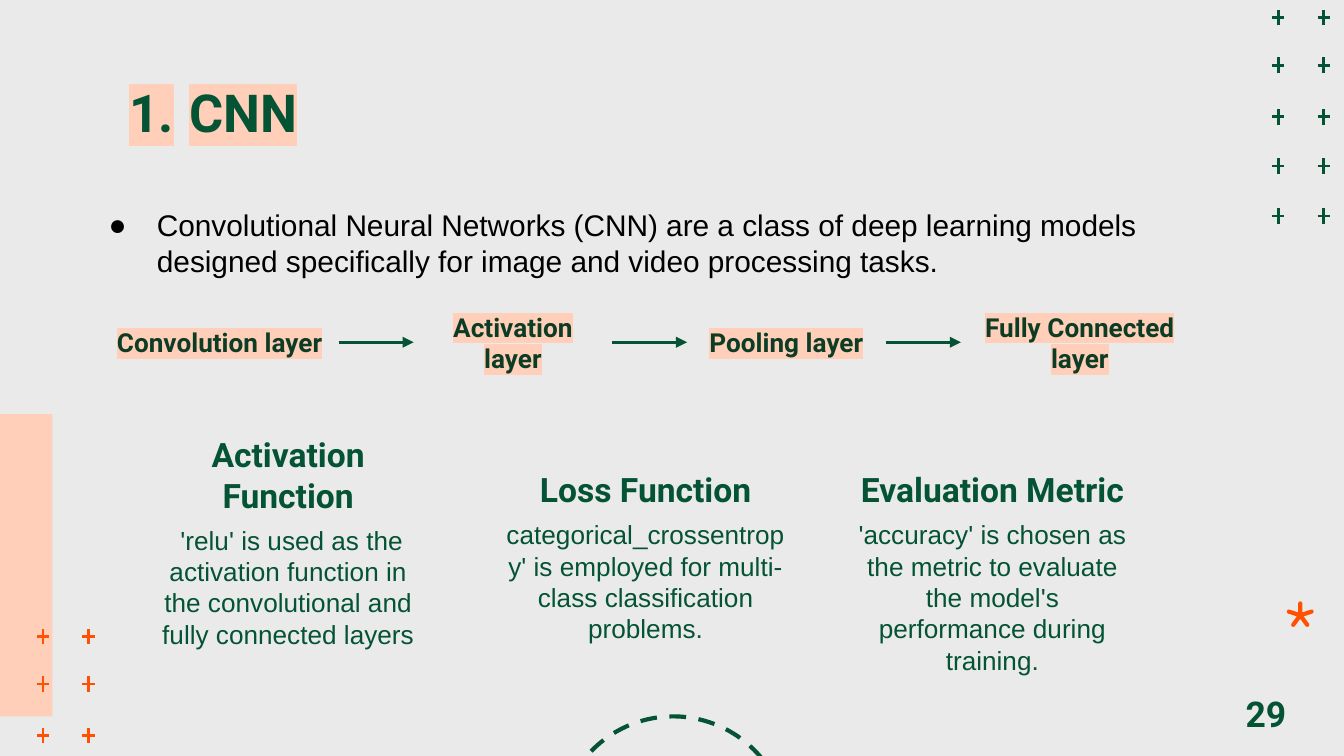
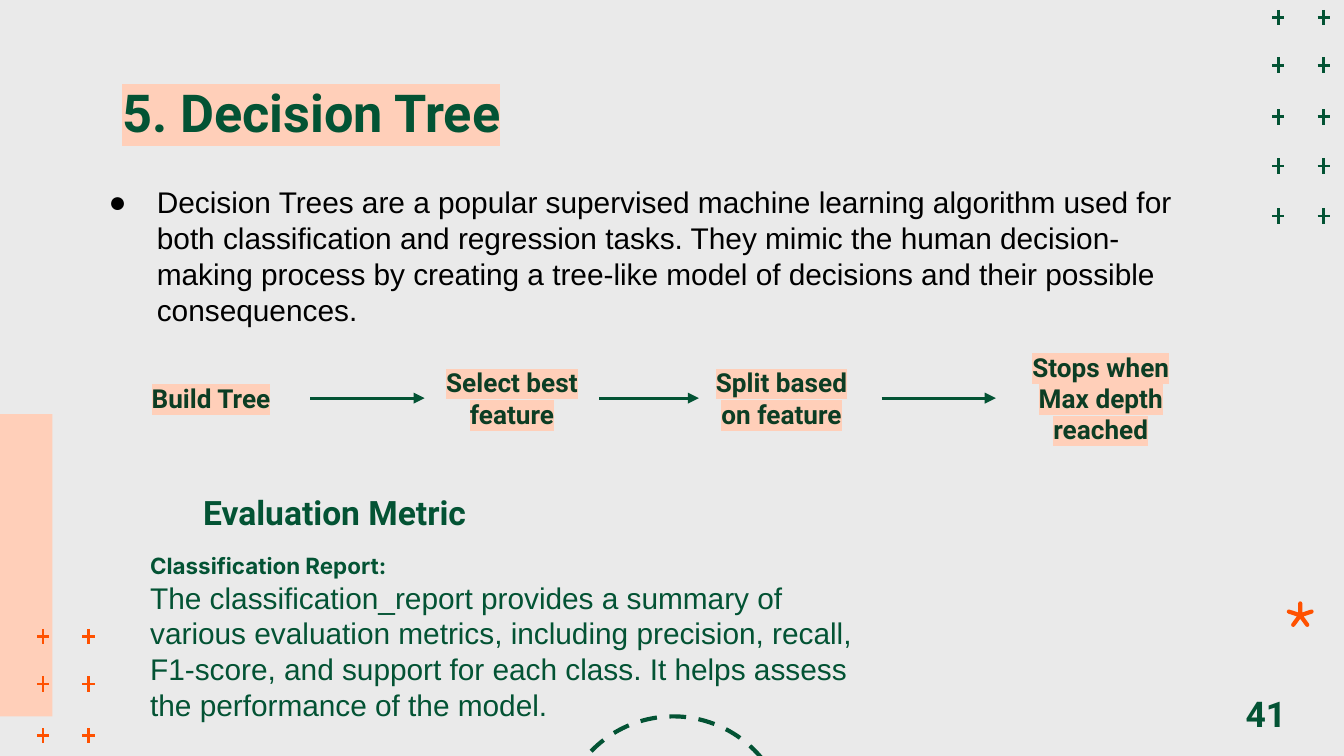
from dataclasses import dataclass

from lxml import etree
from pptx import Presentation
from pptx import util as u
from pptx.dml.color import RGBColor
from pptx.enum import dml, shapes, text
from pptx.oxml.ns import qn


@dataclass(frozen=True)
class Theme:
    background: str = "EAEAEA"
    peach: str = "FFCFB9"
    orange: str = "FF5100"
    green: str = "035334"
    dark_green: str = "0C3D24"
    black: str = "000000"
    heading_font: str = "Roboto"
    body_font: str = "Arial"
    label_font: str = "Inter"
    title_size: int = 28
    number_size: int = 19
    heading_size: int = 18
    intro_size: int = 16
    body_size: int = 14
    label_size: int = 12
    thin_line: float = 1.5
    thick_line: float = 2.25


theme = Theme()


def write_text(shape, words, size=theme.body_size, font=theme.body_font,
               color=theme.green, bold=False, highlight=None,
               align=text.PP_ALIGN.LEFT, anchor=text.MSO_ANCHOR.TOP,
               space_after=0, bullet=None, indent=0, grow=False):
    frame = shape.text_frame
    frame.word_wrap = True
    frame.auto_size = text.MSO_AUTO_SIZE.SHAPE_TO_FIT_TEXT if grow else text.MSO_AUTO_SIZE.NONE
    frame.vertical_anchor = anchor
    frame.margin_left = frame.margin_right = u.Pt(7.2)
    frame.margin_top = frame.margin_bottom = u.Pt(7.2)
    paragraph = frame.add_paragraph() if frame.text else frame.paragraphs[0]
    paragraph.alignment = align
    paragraph.space_after = u.Pt(space_after)
    run = paragraph.add_run()
    run.text = words
    run.font.size = u.Pt(size)
    run.font.name = font
    run.font.bold = bold
    run.font.color.rgb = RGBColor.from_string(color)
    if highlight:
        mark = etree.Element(qn("a:highlight"))
        etree.SubElement(mark, qn("a:srgbClr"), val=highlight)
        run._r.rPr.find(qn("a:solidFill")).addnext(mark)
    if bullet:
        properties = paragraph._p.get_or_add_pPr()
        properties.set("marL", str(u.Pt(36)))
        properties.set("indent", str(u.Pt(indent)))
        bullet_color = etree.SubElement(properties, qn("a:buClr"))
        etree.SubElement(bullet_color, qn("a:srgbClr"), val=color)
        etree.SubElement(properties, qn("a:buFont"), typeface=font)
        if bullet == "number":
            etree.SubElement(properties, qn("a:buAutoNum"), type="arabicPeriod")
        else:
            etree.SubElement(properties, qn("a:buChar"), char=bullet)


def draw_line(parent, points, color, arrow=False):
    line = parent.shapes.add_connector(shapes.MSO_CONNECTOR.STRAIGHT, *map(u.Pt, points))
    line.line.color.rgb = RGBColor.from_string(color)
    line.line.width = u.Pt(theme.thin_line)
    properties = line.element.spPr
    if arrow:
        etree.SubElement(properties.find(qn("a:ln")), qn("a:tailEnd"), type="triangle")
    etree.SubElement(properties, qn("a:effectLst"))


presentation = Presentation()
presentation.slide_width = u.Pt(720)
presentation.slide_height = u.Pt(405)
layout = presentation.slide_layouts.get_by_name("Title Only")
layout.background.fill.solid()
layout.background.fill.fore_color.rgb = RGBColor.from_string(theme.background)

cnn_slide = presentation.slides.add_slide(layout)
decorations = []

band = cnn_slide.shapes.add_shape(shapes.MSO_SHAPE.RECTANGLE, *map(u.Pt, (-46.8, 221.8, 74.9, 162)))
band.fill.solid()
band.fill.fore_color.rgb = RGBColor.from_string(theme.peach)
band.line.fill.background()
band.shadow.inherit = False
decorations.append(band)

row_offsets = (0, 25.5, 53.2, 79.6, 106.3)
for left, top, row_count, color in ((23.1, 341, 3, theme.orange), (684.8, 9.4, 5, theme.green)):
    plus_group = cnn_slide.shapes.add_group_shape()
    for offset in row_offsets[:row_count]:
        for x in (left, left + 24.4):
            y = top + offset
            draw_line(plus_group, (x, y - 4.1, x, y + 4.1), color)
            draw_line(plus_group, (x - 3.3, y, x + 3.3, y), color)
    decorations.append(plus_group)

star = cnn_slide.shapes.add_shape(shapes.MSO_SHAPE.STAR_5_POINT, *map(u.Pt, (690.5, 323.3, 12.2, 11.5)))
star.adjustments[0] = 0
star.fill.solid()
star.fill.fore_color.rgb = RGBColor.from_string(theme.orange)
star.line.color.rgb = RGBColor.from_string(theme.orange)
star.line.width = u.Pt(theme.thick_line)
star.shadow.inherit = False
decorations.append(star)

circle = cnn_slide.shapes.add_shape(shapes.MSO_SHAPE.OVAL, *map(u.Pt, (299.5, 383.8, 122.4, 122.4)))
circle.fill.background()
circle.line.color.rgb = RGBColor.from_string(theme.green)
circle.line.width = u.Pt(theme.thick_line)
circle.line.dash_style = dml.MSO_LINE.DASH
circle.shadow.inherit = False
decorations.append(circle)

layout_tree = layout.shapes.element
for decoration in decorations:
    layout_tree.append(decoration.element)
for number, properties in enumerate(layout_tree.xpath(".//p:cNvPr"), start=1):
    properties.set("id", str(number))

tree_slide = presentation.slides.add_slide(layout)

topics = [
    {
        "slide": cnn_slide,
        "title": "CNN",
        "title_bullet": "number",
        "number": "29",
        "intro": "Convolutional Neural Networks (CNN) are a class of deep learning models "
                 "designed specifically for image and video processing tasks.",
        "intro_top": 103.7,
        "intro_height": 53.3,
        "flow_y": 183.4,
        "steps": [("Convolution layer", 54, 127.4), ("Activation layer", 221.6, 106.4),
                  ("Pooling layer", 368.1, 106.4), ("Fully Connected layer", 514.8, 127.4)],
        "arrows": [(181.4, 221.6), (328, 368.1), (474.5, 514.8)],
        "headings": [("Activation Function", 72.7, 244.1, 163.4),
                     ("Loss Function", 264.2, 241.2, 163.4),
                     ("Evaluation Metric", 450, 241.2, 163.4)],
    },
    {
        "slide": tree_slide,
        "title": "5. Decision Tree",
        "title_bullet": None,
        "number": "41",
        "intro": "Decision Trees are a popular supervised machine learning algorithm used for "
                 "both classification and regression tasks. They mimic the human decision-making "
                 "process by creating a tree-like model of decisions and their possible "
                 "consequences.",
        "intro_top": 91.4,
        "intro_height": 72.7,
        "flow_y": 213.3,
        "steps": [("Build Tree", 59.8, 106.5), ("Select best feature", 227.5, 93.6),
                  ("Split based on feature", 374.4, 88.6),
                  ("Stops when Max depth reached", 536.4, 106.6)],
        "arrows": [(166.3, 227.5), (321.1, 374.4), (472.3, 533.5)],
        "headings": [("Evaluation Metric", 60.5, 253.4, 237.6)],
    },
]

for topic in topics:
    slide = topic["slide"]
    title = slide.shapes.title
    title.left, title.top, title.width, title.height = map(u.Pt, (58.3, 36, 604, 45.4))
    write_text(title, topic["title"], size=theme.title_size, font=theme.heading_font, bold=True,
               highlight=theme.peach, bullet=topic["title_bullet"], indent=-32.4)

    number_box = slide.shapes.add_textbox(*map(u.Pt, (650.9, 370.8, 54.7, 22.3)))
    write_text(number_box, topic["number"], size=theme.number_size, font=theme.heading_font,
               bold=True, align=text.PP_ALIGN.CENTER, anchor=text.MSO_ANCHOR.MIDDLE)

    intro_box = slide.shapes.add_textbox(
        *map(u.Pt, (41, topic["intro_top"], 597.6, topic["intro_height"])))
    write_text(intro_box, topic["intro"], size=theme.intro_size, color=theme.black,
               bullet="●", indent=-25.9, grow=True)

    for start, end in topic["arrows"]:
        draw_line(slide, (start, topic["flow_y"], end, topic["flow_y"]), theme.green, arrow=True)
    for label, left, width in topic["steps"]:
        step_box = slide.shapes.add_textbox(*map(u.Pt, (left, topic["flow_y"] - 18.4, width, 36.7)))
        write_text(step_box, label, font=theme.heading_font, color=theme.dark_green, bold=True,
                   highlight=theme.peach, align=text.PP_ALIGN.CENTER,
                   anchor=text.MSO_ANCHOR.MIDDLE, space_after=12)

    for heading, left, top, width in topic["headings"]:
        heading_box = slide.shapes.add_textbox(*map(u.Pt, (left, top, width, 38.9)))
        write_text(heading_box, heading, size=theme.heading_size, font=theme.heading_font,
                   bold=True, align=text.PP_ALIGN.CENTER, anchor=text.MSO_ANCHOR.BOTTOM)

descriptions = [
    " 'relu' is used as the activation function in the convolutional and fully connected layers",
    "categorical_crossentropy' is employed for multi-class classification problems.",
    "'accuracy' is chosen as the metric to evaluate the model's performance during training.",
]
for (heading, left, top, width), description in zip(topics[0]["headings"], descriptions):
    description_box = cnn_slide.shapes.add_textbox(*map(u.Pt, (left, top + 29.5, width, 47.5)))
    write_text(description_box, description, align=text.PP_ALIGN.CENTER)

report_box = tree_slide.shapes.add_textbox(*map(u.Pt, (73.4, 288.7, 407.5, 92.2)))
write_text(report_box, "Classification Report:", size=theme.label_size, font=theme.label_font,
           bold=True)
write_text(report_box,
           "The classification_report provides a summary of various evaluation metrics, including "
           "precision, recall, F1-score, and support for each class. It helps assess the "
           "performance of the model.", size=theme.intro_size)

presentation.save("out.pptx")
